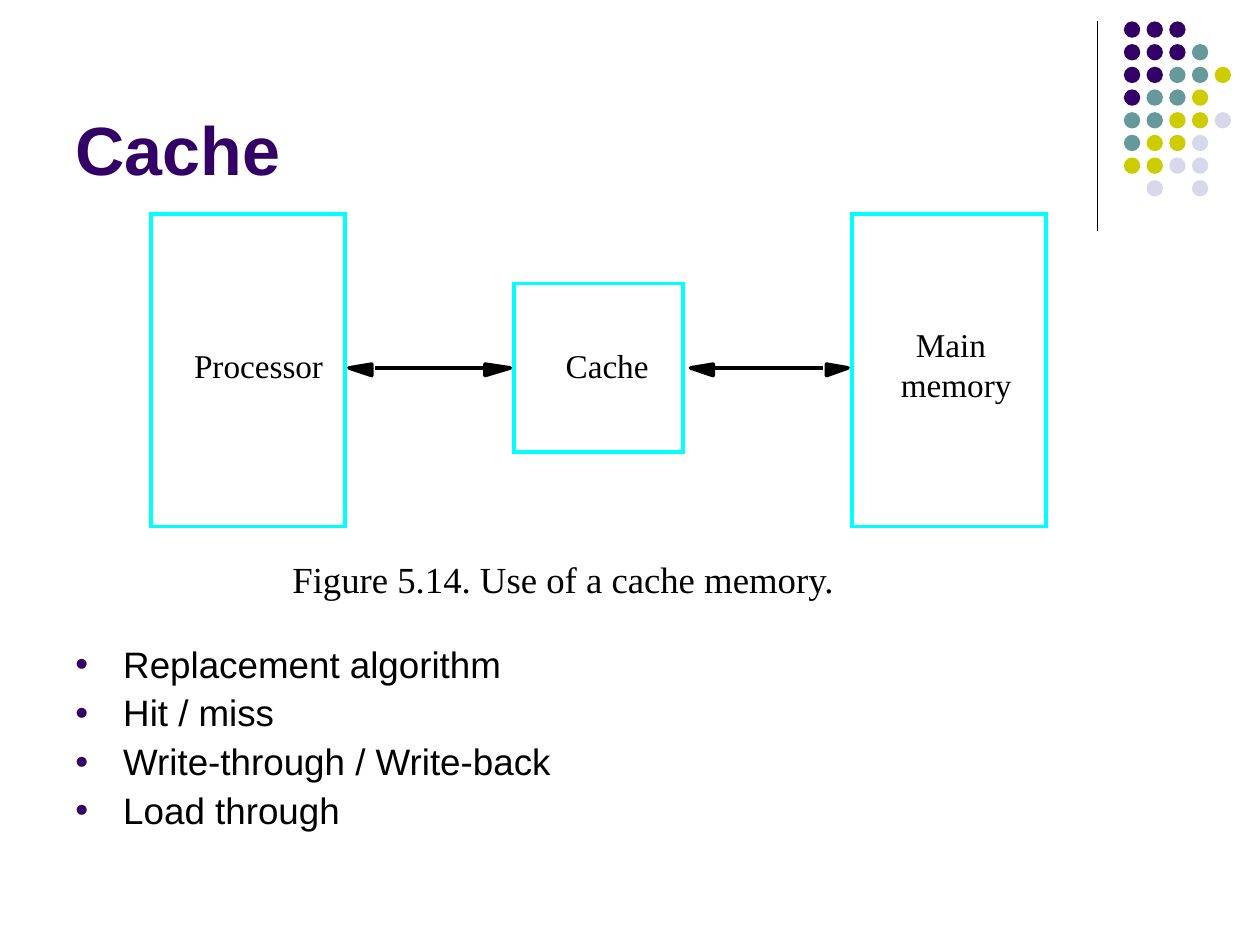
from typing import NamedTuple

from lxml.etree import SubElement
from pptx import Presentation
from pptx.dml.color import RGBColor
from pptx.enum.shapes import MSO_CONNECTOR, MSO_SHAPE
from pptx.enum.text import MSO_ANCHOR, MSO_AUTO_SIZE
from pptx.oxml.ns import qn
from pptx.util import Inches, Pt

PURPLE, TEAL, OLIVE, LILAC = "330066", "669999", "CCCC00", "D8D8EC"
BLACK, CYAN = "000000", "00FFFF"
SANS, SERIF = "Arial", "Times New Roman"
RULE_WIDTH = 2.13

DOT_COLORS = {"P": PURPLE, "T": TEAL, "O": OLIVE, "L": LILAC}
DOT_ROWS = ["PPP", "PPPT", "PPTTO", "PTTO", "TTOOL", "TOOL", "OOLL", " L L"]
DOT_LEFT, DOT_TOP, DOT_PITCH, DOT_SIZE = 8.92, 0.17, 0.18, 0.13


class Block(NamedTuple):
    left: float
    top: float
    width: float
    height: float


class Label(NamedTuple):
    text: str
    left: float
    top: float
    width: float
    height: float = 0.32
    size: float = 19


class Link(NamedTuple):
    """Double arrow: tip and base of each head, and the ends of its shaft."""
    left_tip: float
    left_base: float
    shaft_left: float
    shaft_right: float
    right_base: float
    right_tip: float


BLOCKS = [
    Block(1.2, 1.7, 1.54, 2.48),
    Block(4.08, 2.25, 1.34, 1.34),
    Block(6.76, 1.7, 1.54, 2.48),
]
LABELS = [
    Label("Processor", 1.54, 2.74, 1.05),
    Label("Cache", 4.49, 2.74, 0.66),
    Label("Main", 7.27, 2.57, 0.56),
    Label("memory", 7.15, 2.89, 0.88),
    Label("Figure 5.14. Use of a cache memory.", 2.32, 4.42, 4.32, 0.35, 21),
]
LINKS = [
    Link(2.77, 2.95, 2.98, 3.85, 3.85, 4.05),
    Link(5.48, 5.66, 5.66, 6.53, 6.56, 6.73),
]
AXIS, HEAD_TOP, HEAD_BOTTOM = 2.92, 2.89, 2.98
TOPICS = ["Replacement algorithm", "Hit / miss",
          "Write-through / Write-back", "Load through"]


def rgb(color: str) -> RGBColor:
    return RGBColor.from_string(color)


def set_font(paragraph, name: str, size: float, color: str, bold=False) -> None:
    font = paragraph.font
    font.name, font.size, font.bold = name, Pt(size), bold
    font.color.rgb = rgb(color)


def set_outline(shape, color: str, join: str) -> None:
    shape.line.color.rgb = rgb(color)
    shape.line.width = Pt(RULE_WIDTH)
    SubElement(shape.line._get_or_add_ln(), qn(f"a:{join}"))


def add_line(page, start, end, width: float) -> None:
    line = page.shapes.add_connector(
        MSO_CONNECTOR.STRAIGHT, *(Inches(value) for value in (*start, *end)))
    line.line.color.rgb = rgb(BLACK)
    line.line.width = Pt(width)
    SubElement(line._element.spPr, qn("a:effectLst"))


def add_dots(page) -> None:
    for row, marks in enumerate(DOT_ROWS):
        for column, mark in enumerate(marks):
            if mark == " ":
                continue
            dot = page.shapes.add_shape(
                MSO_SHAPE.OVAL,
                Inches(DOT_LEFT + column * DOT_PITCH),
                Inches(DOT_TOP + row * DOT_PITCH),
                Inches(DOT_SIZE), Inches(DOT_SIZE))
            dot.shadow.inherit = False
            dot.fill.solid()
            dot.fill.fore_color.rgb = rgb(DOT_COLORS[mark])
            dot.line.fill.background()


def add_block(page, block: Block) -> None:
    frame = page.shapes.add_shape(
        MSO_SHAPE.RECTANGLE, *(Inches(value) for value in block))
    frame.shadow.inherit = False
    frame.fill.background()
    set_outline(frame, CYAN, "miter")


def add_head(page, tip: float, base: float) -> None:
    builder = page.shapes.build_freeform(Inches(base), Inches(HEAD_TOP))
    builder.add_line_segments([
        (Inches(tip), Inches(AXIS)), (Inches(base), Inches(HEAD_BOTTOM))])
    head = builder.convert_to_shape()
    head.shadow.inherit = False
    head.fill.solid()
    head.fill.fore_color.rgb = rgb(BLACK)
    set_outline(head, BLACK, "round")


def add_link(page, link: Link) -> None:
    add_head(page, link.left_tip, link.left_base)
    add_head(page, link.right_tip, link.right_base)
    add_line(page, (link.shaft_left, AXIS), (link.shaft_right, AXIS), RULE_WIDTH)


def add_box(page, left: float, top: float, width: float, height: float):
    box = page.shapes.add_textbox(
        Inches(left), Inches(top), Inches(width), Inches(height))
    box.text_frame.word_wrap = True
    return box.text_frame


def add_label(page, label: Label) -> None:
    frame = add_box(page, label.left, label.top, label.width, label.height)
    frame.word_wrap = False
    frame.auto_size = MSO_AUTO_SIZE.SHAPE_TO_FIT_TEXT
    frame.margin_left = frame.margin_right = 0
    frame.margin_top = frame.margin_bottom = 0
    para = frame.paragraphs[0]
    para.text = label.text
    set_font(para, SERIF, label.size, BLACK)


def add_bullet(para) -> None:
    props = para._p.get_or_add_pPr()
    props.set("marL", str(Inches(0.38)))
    props.set("indent", str(-Inches(0.38)))
    color = SubElement(props, qn("a:buClr"))
    SubElement(color, qn("a:srgbClr"), val=PURPLE)
    SubElement(props, qn("a:buFont"), typeface=SANS)
    SubElement(props, qn("a:buChar"), char="•")


def add_title(page) -> None:
    frame = add_box(page, 0.5, 0.13, 8.25, 1.42)
    frame.vertical_anchor = MSO_ANCHOR.BOTTOM
    para = frame.paragraphs[0]
    para.text = "Cache"
    set_font(para, SANS, 39, PURPLE, bold=True)


def add_topics(page) -> None:
    frame = add_box(page, 0.5, 5.08, 9, 1.62)
    for index, topic in enumerate(TOPICS):
        para = frame.add_paragraph() if index else frame.paragraphs[0]
        para.text = topic
        add_bullet(para)
        para.line_spacing = 0.9
        if index:
            para.space_before = Pt(5.2)
        set_font(para, SANS, 21, BLACK)


def main() -> None:
    deck = Presentation()
    deck.slide_width, deck.slide_height = Inches(10), Inches(7.5)
    page = deck.slides.add_slide(deck.slide_layouts[6])
    add_line(page, (8.71, 0.17), (8.71, 1.83), 0.75)
    add_dots(page)
    add_title(page)
    add_topics(page)
    for link in LINKS:
        add_link(page, link)
    for block in BLOCKS:
        add_block(page, block)
    for label in LABELS:
        add_label(page, label)
    deck.save("out.pptx")


if __name__ == "__main__":
    main()
